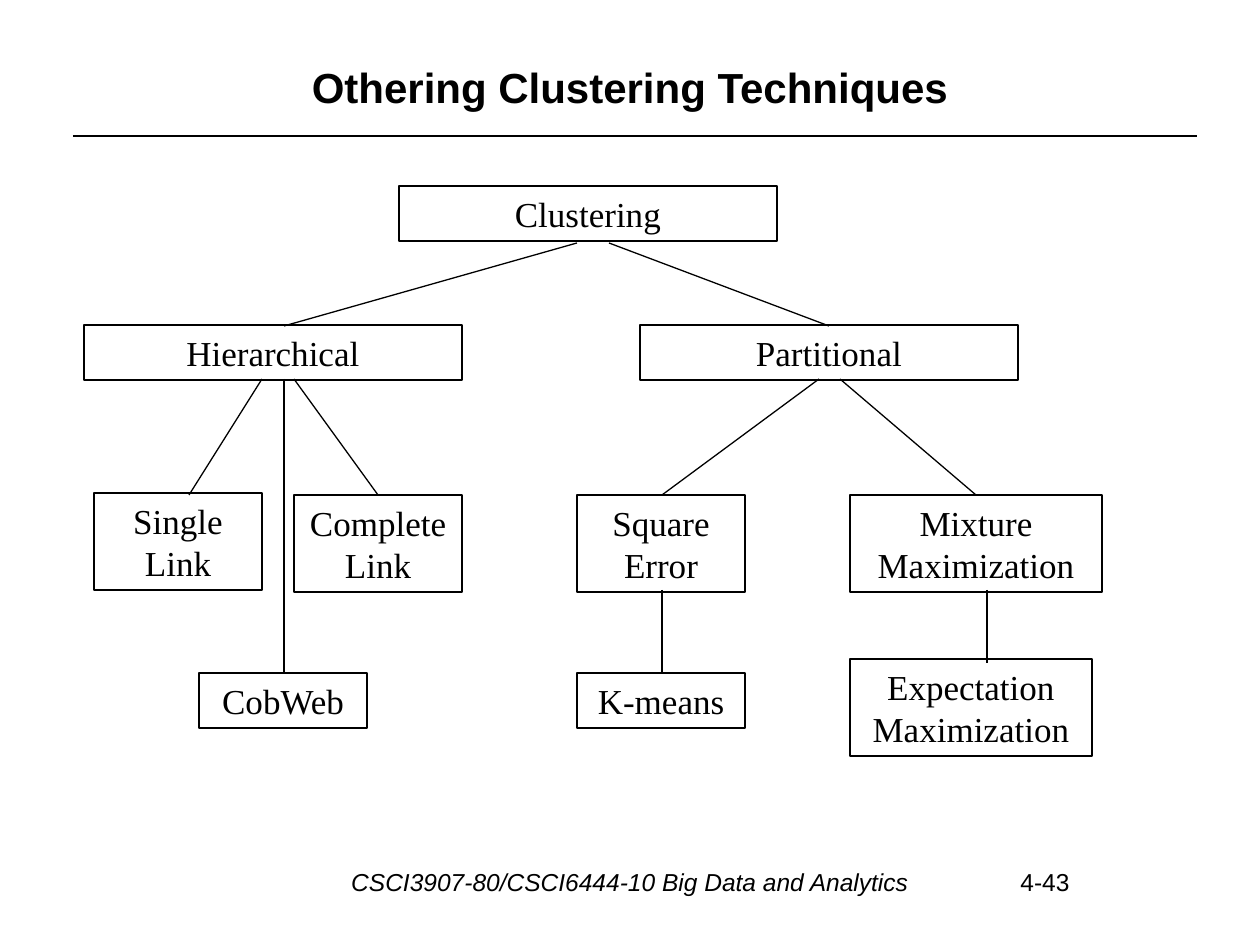
from lxml.etree import SubElement
from pptx import Presentation
from pptx.dml.color import RGBColor
from pptx.enum.shapes import MSO_CONNECTOR, MSO_SHAPE
from pptx.enum.text import MSO_ANCHOR, PP_ALIGN
from pptx.oxml.ns import qn
from pptx.util import Emu, Pt

BLACK = RGBColor(0, 0, 0)
LINE_WIDTH = Pt(0.75)


def px(length):
    return Emu(round(length * 914400 / 126))


def write(box, text, align, anchor, font_values):
    frame = box.text_frame
    frame.word_wrap = True
    frame.vertical_anchor = anchor
    para = frame.paragraphs[0]
    para.alignment = align
    span = para.add_run()
    span.text = text
    span.font.color.rgb = BLACK
    for name, value in font_values.items():
        setattr(span.font, name, value)


deck = Presentation()
deck.slide_width, deck.slide_height = px(1260), px(945)
page = deck.slides.add_slide(deck.slide_layouts[6])

# Title and footer: text, place, alignment, anchor, font
labels = [
    ("Othering Clustering Techniques", (63, 38, 1134, 98),
     PP_ALIGN.CENTER, MSO_ANCHOR.MIDDLE, {"size": Pt(24), "bold": True}),
    ("CSCI3907-80/CSCI6444-10 Big Data and Analytics", (336, 861, 588, 65),
     PP_ALIGN.CENTER, MSO_ANCHOR.TOP, {"size": Pt(14), "italic": True}),
    ("4-43", (1008, 861, 95, 65),
     PP_ALIGN.LEFT, MSO_ANCHOR.TOP, {"size": Pt(14)}),
]
for text, place, align, anchor, font_values in labels:
    box = page.shapes.add_textbox(*map(px, place))
    write(box, text, align, anchor, {"name": "Arial", **font_values})

# Tree boxes: text, left, top, width, number of text lines
nodes = [
    ("Clustering", 399, 186, 378, 1),
    ("Hierarchical", 84, 325, 378, 1),
    ("Partitional", 640, 325, 378, 1),
    ("Single Link", 94, 493, 168, 2),
    ("Complete Link", 294, 495, 168, 2),
    ("Square Error", 577, 495, 168, 2),
    ("Mixture Maximization", 850, 495, 252, 2),
    ("CobWeb", 199, 673, 168, 1),
    ("K-means", 577, 673, 168, 1),
    ("Expectation Maximization", 850, 659, 242, 2),
]
for text, left, top, width, line_count in nodes:
    height = 13 + 42 * line_count
    box = page.shapes.add_shape(
        MSO_SHAPE.RECTANGLE, *map(px, (left, top, width, height)))
    box.shadow.inherit = False
    box.fill.background()
    box.line.color.rgb = BLACK
    box.line.width = LINE_WIDTH
    write(box, text, PP_ALIGN.CENTER, MSO_ANCHOR.TOP,
          {"name": "Times New Roman", "size": Pt(20)})

# Title rule and tree branches: start x, start y, end x, end y
lines = [
    (73, 136, 1197, 136),
    (577, 243, 284, 326),
    (609, 243, 829, 326),
    (262, 379, 189, 495),
    (284, 379, 284, 673),
    (294, 379, 378, 495),
    (819, 379, 662, 495),
    (840, 379, 976, 495),
    (662, 590, 662, 673),
    (987, 590, 987, 663),
]
for ends in lines:
    branch = page.shapes.add_connector(MSO_CONNECTOR.STRAIGHT, *map(px, ends))
    branch.line.color.rgb = BLACK
    branch.line.width = LINE_WIDTH
    SubElement(branch._element.spPr, qn("a:effectLst"))

deck.save("out.pptx")
